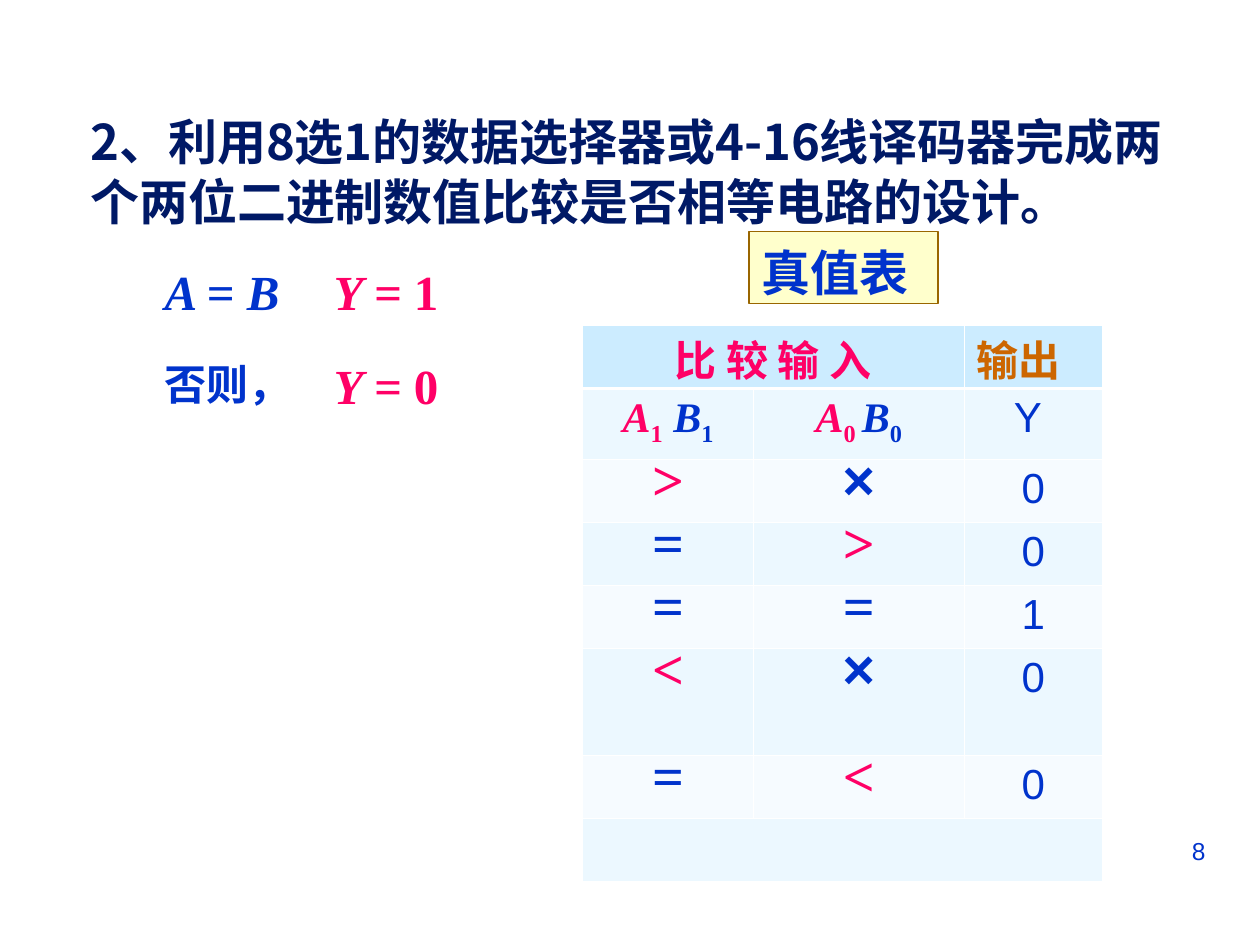
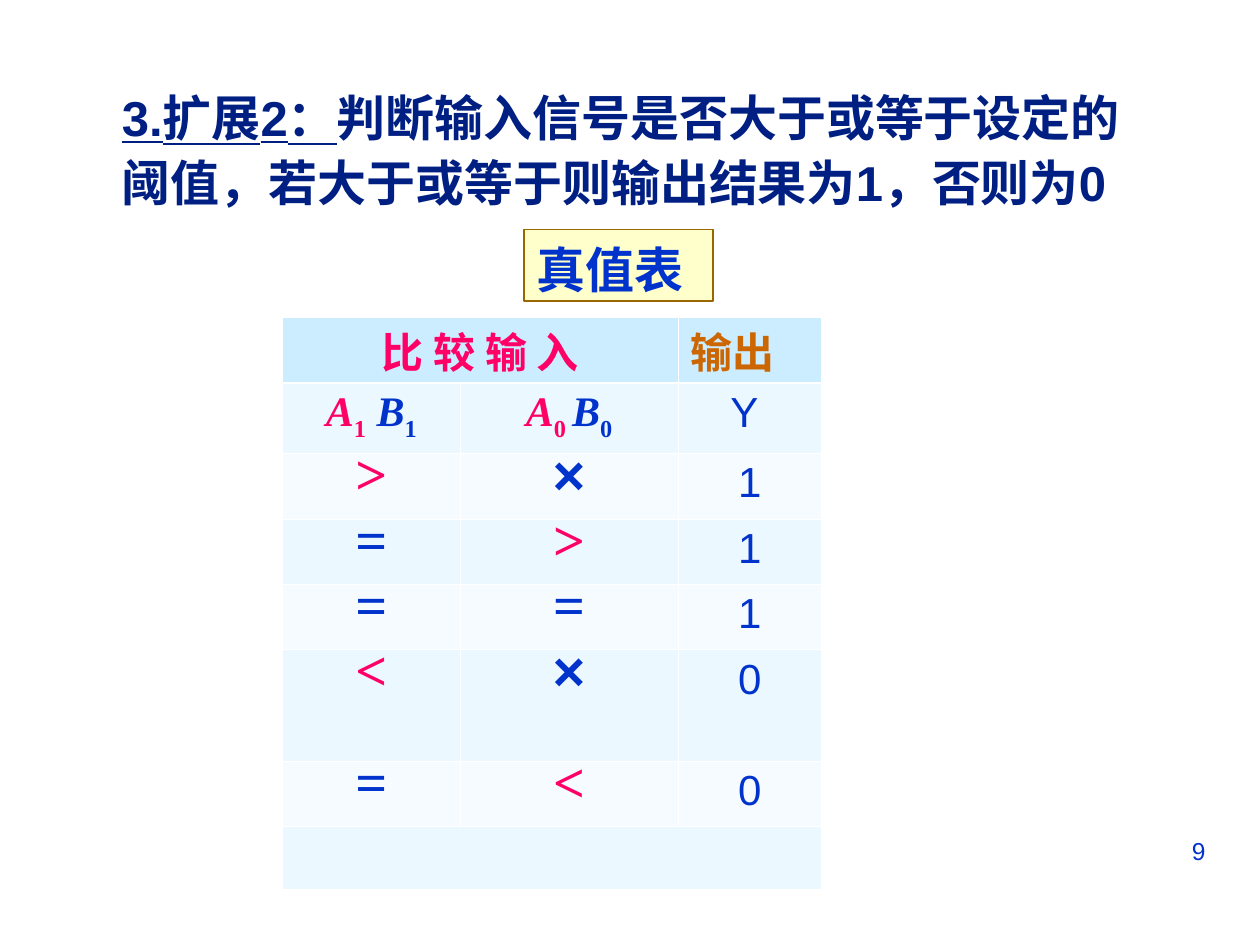
from lxml import etree
from pptx import Presentation
from pptx.dml.color import RGBColor
from pptx.enum.shapes import MSO_SHAPE as SHAPE
from pptx.enum.text import MSO_ANCHOR as ANCHOR, PP_ALIGN as ALIGN
from pptx.oxml.ns import qn
from pptx.util import Pt

COLORS = {
    "blue": "0033CC", "pink": "FF0066", "orange": "CC6600", "white": "FFFFFF",
    "navy": "001966", "title": "001F82", "cream": "FFFFCC", "brown": "996600",
    "header": "CCECFF", "even": "F6FBFF", "odd": "ECF8FF",
}
ARIAL, TIMES, CJK = "Arial", "Times New Roman", "Noto Sans CJK SC"

# Runs are (text, overrides) pairs.
ITALIC = {"italic": True}
PINK_ITALIC = {"italic": True, "color": "pink"}
SUB = {"sub": True}
PINK_SUB = {"sub": True, "color": "pink"}
HIGH_BITS = [("A", PINK_ITALIC), ("1", PINK_SUB), (" B", ITALIC), ("1", SUB)]
LOW_BITS = [("A", PINK_ITALIC), ("0 ", PINK_SUB), ("B", ITALIC), ("0", SUB)]
COMPARISONS = [(">", "×"), ("=", ">"), ("=", "="), ("<", "×"), ("=", "<")]

# (left, top, width, height), runs, colour, size, font
CONDITIONS = [
    ((87, 146, 91, 41), [("A ", ITALIC), ("= ", {}), ("B", ITALIC)], "blue", 28, TIMES),
    ((183.5, 146, 109, 41), [("Y = ", ITALIC), ("1", {})], "pink", 28, TIMES),
    ((87, 201.5, 159, 36), [("否则，", {})], "blue", 24, ARIAL),
    ((183.5, 199.5, 109, 41), [("Y = ", ITALIC), ("0", {})], "pink", 28, TIMES),
]

SLIDES = [
    {
        "number": "8",
        "title": [("2、利用8选1的数据选择器或4-16线译码器完成两个两位二进制数值比较是否相等电路的设计。", {})],
        "title_box": (44.6, 59.6, 631, 75), "title_anchor": ANCHOR.MIDDLE,
        "title_font": (28, "navy", CJK), "title_pitch": 34.3,
        "badge": (428, 132.5),
        "conditions": CONDITIONS,
        "table": (332.8, 186), "columns": [97.9, 120.2, 79.2],
        "row": 36, "tall_row": 61,
        "outputs": "00100",
    },
    {
        "number": "9",
        "title": [("3.扩展2：", {"underline": True}),
                  ("判断输入信号是否大于或等于设定的阈值，若大于或等于则输出结果为1，否则为0", {})],
        "title_box": (62.6, 43.2, 599, 118), "title_anchor": ANCHOR.TOP,
        "title_font": (28, "title", ARIAL), "title_pitch": 37,
        "badge": (299.5, 131),
        "conditions": [],
        "table": (161.4, 181.5), "columns": [101.5, 124.6, 82.1],
        "row": 37.4, "tall_row": 63.5,
        "outputs": "11100",
    },
]


def rgb(name):
    return RGBColor.from_string(COLORS[name])


def write(tf, runs, size, color, font, bold=True, align=ALIGN.LEFT, spacing=None):
    """Fill the first paragraph; run overrides apply on top of its font."""
    p = tf.paragraphs[0]
    p.alignment = align
    if spacing:
        p.line_spacing = spacing
    f = p.font
    f.size, f.bold, f.name = Pt(size), bold, font
    f.color.rgb = rgb(color)
    east_asian = etree.SubElement(p._p.pPr.find(qn("a:defRPr")), qn("a:ea"))
    east_asian.set("typeface", CJK)
    for text, style in runs:
        r = p.add_run()
        r.text = text
        if "italic" in style:
            r.font.italic = True
        if "underline" in style:
            r.font.underline = True
        if "color" in style:
            r.font.color.rgb = rgb(style["color"])
        if "sub" in style:
            r._r.get_or_add_rPr().set("baseline", "-25000")


def add_text(s, box, runs, size, color, font, anchor=ANCHOR.TOP, **options):
    tf = s.shapes.add_textbox(*map(Pt, box)).text_frame
    tf.word_wrap = True
    tf.vertical_anchor = anchor
    write(tf, runs, size, color, font, **options)


def add_badge(s, left, top):
    sp = s.shapes.add_shape(SHAPE.RECTANGLE, Pt(left), Pt(top), Pt(108), Pt(41))
    sp.shadow.inherit = False
    sp.fill.solid()
    sp.fill.fore_color.rgb = rgb("cream")
    sp.line.color.rgb = rgb("brown")
    sp.line.width = Pt(0.75)
    sp.text_frame.vertical_anchor = ANCHOR.TOP
    write(sp.text_frame, [("真值表", {})], 28, "blue", CJK, spacing=Pt(36))


def style_cell(cell, fill, row):
    """Draw white borders, heavier between the header and the body, then fill."""
    tc_pr = cell._tc.get_or_add_tcPr()
    heavy = {0: "lnB", 1: "lnT"}.get(row)
    for side in ("lnL", "lnR", "lnT", "lnB"):
        width = Pt(1.47 if side == heavy else 0.45)
        ln = etree.SubElement(tc_pr, qn(f"a:{side}"), w=str(int(width)))
        solid = etree.SubElement(ln, qn("a:solidFill"))
        etree.SubElement(solid, qn("a:srgbClr"), val=COLORS["white"])
    cell.fill.solid()
    cell.fill.fore_color.rgb = rgb(fill)


def add_truth_table(s, left, top, columns, row, tall_row, outputs):
    heights = [row, 40.3, row, row, row, tall_row, row, 36]
    table = s.shapes.add_table(len(heights), len(columns), Pt(left), Pt(top),
                               Pt(sum(columns)), Pt(sum(heights))).table
    table.first_row = table.horz_banding = False
    for column, width in zip(table.columns, columns):
        column.width = Pt(width)
    for i, height in enumerate(heights):
        table.rows[i].height = Pt(height)
        fill = "header" if i == 0 else "odd" if i % 2 else "even"
        for j in range(len(columns)):
            style_cell(table.cell(i, j), fill, i)
    table.cell(0, 0).merge(table.cell(0, 1))
    table.cell(7, 0).merge(table.cell(7, 2))

    def put(i, j, runs, size=24, color="blue", font=ARIAL, align=ALIGN.CENTER, **options):
        write(table.cell(i, j).text_frame, runs, size, color, font, align=align, **options)

    for j in (0, 2):
        table.cell(0, j).margin_top, table.cell(0, j).margin_bottom = Pt(8), 0
    put(0, 0, [("比 较 输 入", {})], color="pink", font=CJK, spacing=Pt(28))
    put(0, 2, [("输出", {})], color="orange", align=ALIGN.LEFT, spacing=Pt(28))
    put(1, 0, HIGH_BITS, font=TIMES)
    put(1, 1, LOW_BITS, font=TIMES)
    put(1, 2, [("Y ", {})], bold=False)
    for i, (signs, output) in enumerate(zip(COMPARISONS, outputs), 2):
        for j, sign in enumerate(signs):
            put(i, j, [(sign, {})], 32, "pink" if sign in "<>" else "blue",
                ARIAL if sign == "×" else TIMES, spacing=0.7)
        put(i, 2, [(output, {})], bold=False)


def main():
    prs = Presentation()
    prs.slide_width, prs.slide_height = Pt(720), Pt(540)
    for page in SLIDES:
        s = prs.slides.add_slide(prs.slide_layouts[6])
        add_text(s, (516, 474, 180, 37), [(page["number"], {})], 14, "blue", ARIAL,
                 bold=False, align=ALIGN.RIGHT)
        add_text(s, page["title_box"], page["title"], *page["title_font"],
                 anchor=page["title_anchor"], spacing=Pt(page["title_pitch"]))
        for box, runs, color, size, font in page["conditions"]:
            add_text(s, box, runs, size, color, font)
        add_truth_table(s, *page["table"], page["columns"], page["row"],
                        page["tall_row"], page["outputs"])
        add_badge(s, *page["badge"])
    prs.save("out.pptx")


if __name__ == "__main__":
    main()
